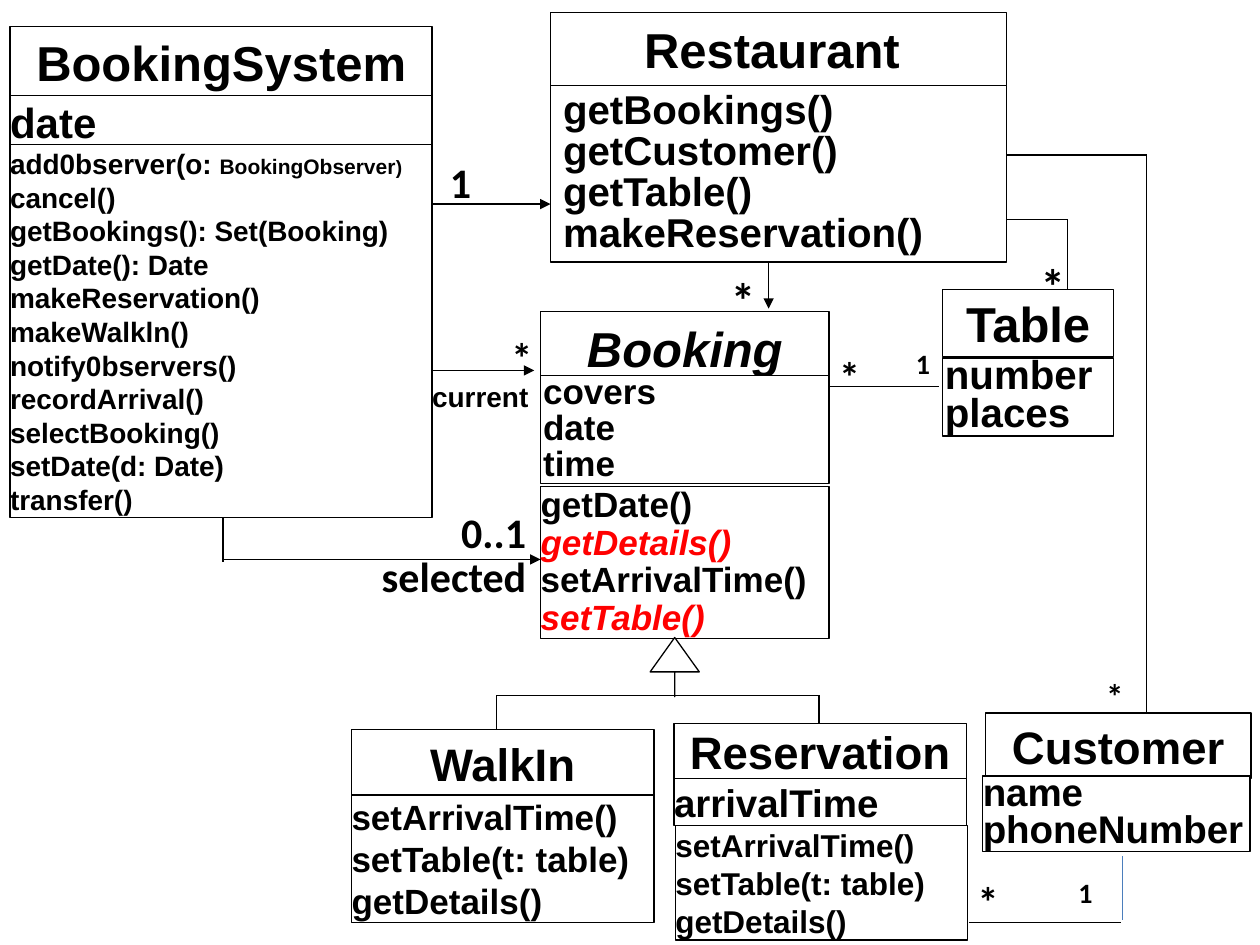
from dataclasses import dataclass

from lxml.etree import SubElement
from pptx import Presentation
from pptx.dml.color import RGBColor
from pptx.enum.shapes import MSO_CONNECTOR, MSO_SHAPE
from pptx.enum.text import MSO_ANCHOR, MSO_AUTO_SIZE, PP_ALIGN
from pptx.oxml.ns import qn
from pptx.util import Inches, Pt

BLACK, WHITE, RED, BLUE = "000000", "FFFFFF", "FF0000", "4B7EBC"
FLUSH = (0, 0, 0, 0)
INDENTED = (0.02, 0, 0, 0)
TIGHT = (0, 0.04, 0, 0.04)
ROOMY = (0.1, 0.05, 0.1, 0.05)


@dataclass(frozen=True)
class Row:
    text: str
    color: str = BLACK
    italic: bool = False
    tail: tuple = ()


@dataclass(frozen=True)
class Compartment:
    left: float
    top: float
    width: float
    height: float
    size: float
    rows: tuple
    margins: tuple = FLUSH
    spacing: float = 1.0
    centred: bool = False
    wrap: bool = True


@dataclass(frozen=True)
class Link:
    start: tuple
    end: tuple
    arrow: bool = False
    color: str = BLACK


@dataclass(frozen=True)
class Label:
    text: str
    left: float
    top: float
    width: float
    height: float
    size: float
    margins: tuple = FLUSH
    font: str = "Calibri"


def plain(*texts: str) -> tuple:
    return tuple(Row(text) for text in texts)


def abstract(text: str) -> Row:
    return Row(text, RED, True)


RESERVING = plain("setArrivalTime()", "setTable(t: table)", "getDetails()")

COMPARTMENTS = (
    Compartment(0.08, 0.21, 3.35, 0.56, 28, plain("BookingSystem"), TIGHT, centred=True),
    Compartment(0.08, 0.76, 3.35, 0.41, 24, plain("date")),
    Compartment(0.08, 1.15, 3.35, 2.96, 16, (
        Row("add0bserver(o: ", tail=(("BookingObserver", 12), (")", 11))),
        *plain("cancel()", "getBookings(): Set(Booking)", "getDate(): Date",
               "makeReservation()", "makeWalkln()", "notify0bservers()",
               "recordArrival()", "selectBooking()", "setDate(d: Date)", "transfer()"))),
    Compartment(4.37, 0.1, 3.62, 0.58, 28, plain("Restaurant "), ROOMY, centred=True),
    Compartment(4.37, 0.68, 3.62, 1.4, 23,
                plain("getBookings()", "getCustomer()", "getTable()", "makeReservation()"),
                ROOMY, 0.85, wrap=False),
    Compartment(4.29, 2.47, 2.29, 0.58, 28, (Row("Booking", italic=True),), ROOMY, centred=True),
    Compartment(4.29, 2.98, 2.29, 0.86, 20, plain("covers", "date", "time"), INDENTED, 0.85),
    Compartment(4.29, 3.86, 2.29, 1.21, 20,
                (Row("getDate()"), abstract("getDetails()"),
                 Row("setArrivalTime()"), abstract("setTable()")), spacing=0.9),
    Compartment(7.48, 2.3, 1.36, 0.53, 28, plain("Table"), ROOMY, centred=True, wrap=False),
    Compartment(7.48, 2.84, 1.36, 0.62, 23, plain("number", "places"), INDENTED, 0.8),
    Compartment(2.79, 5.79, 2.4, 0.53, 26, plain("WalkIn"), ROOMY, centred=True, wrap=False),
    Compartment(2.79, 6.31, 2.4, 1.01, 20, RESERVING),
    Compartment(5.35, 5.74, 2.32, 0.44, 26, plain("Reservation"), centred=True),
    Compartment(5.35, 6.18, 2.32, 0.37, 22, plain("arrivalTime")),
    Compartment(5.36, 6.55, 2.32, 0.91, 18, RESERVING),
    Compartment(7.82, 5.66, 2.11, 0.52, 26, plain("Customer"), TIGHT, centred=True),
    Compartment(7.8, 6.16, 2.12, 0.6, 22, plain("name", "phoneNumber"), spacing=0.8),
)

LINKS = (
    Link((3.94, 5.52), (6.5, 5.52)),
    Link((3.94, 5.52), (3.94, 5.92)),
    Link((6.5, 5.52), (6.5, 5.84)),
    Link((3.35, 1.62), (4.37, 1.62), True),
    Link((6.1, 1.7), (6.1, 2.45), True),
    Link((3.32, 2.94), (4.24, 2.94), True),
    Link((1.77, 3.28), (1.77, 4.46)),
    Link((1.77, 4.44), (4.29, 4.44), True),
    Link((6.9, 1.74), (8.47, 1.74)),
    Link((8.47, 1.74), (8.47, 2.73), True),
    Link((7.1, 1.23), (9.1, 1.23)),
    Link((9.1, 1.23), (9.1, 6.01), True),
    Link((6.59, 3.07), (7.45, 3.07)),
    Link((7.69, 7.32), (8.9, 7.32)),
    Link((8.91, 7.3), (8.91, 6.79), color=BLUE),
)

LABELS = (
    Label("1", 3.57, 1.24, 0.16, 0.4, 24),
    Label("*", 5.8, 2.14, 0.16, 0.47, 28, (0, 0, 0.02, 0)),
    Label("*", 6.66, 2.78, 0.12, 0.4, 24),
    Label("*", 4.06, 2.63, 0.16, 0.4, 24),
    Label("1", 7.17, 2.7, 0.39, 0.37, 16, ROOMY),
    Label("current", 3.43, 3.01, 1.19, 0.27, 16, font="Arial"),
    Label("0..1", 3.66, 4.02, 0.63, 0.4, 24),
    Label("selected", 3.03, 4.37, 1.26, 0.4, 24),
    Label("*", 8.16, 1.98, 0.39, 0.57, 28, ROOMY),
    Label("*", 8.78, 5.35, 0.16, 0.33, 20),
    Label("*", 7.76, 6.95, 0.16, 0.4, 24),
    Label("1", 8.46, 6.9, 0.39, 0.37, 16, ROOMY),
)


def rgb(color: str) -> RGBColor:
    return RGBColor.from_string(color)


def style_font(font, name: str, color: str = BLACK, italic: bool = False) -> None:
    font.name, font.bold, font.italic = name, True, italic
    font.color.rgb = rgb(color)


def set_margins(frame, margins: tuple) -> None:
    (frame.margin_left, frame.margin_top,
     frame.margin_right, frame.margin_bottom) = map(Inches, margins)


def add_outlined(slide, preset, left: float, top: float, width: float, height: float):
    shape = slide.shapes.add_shape(preset, *map(Inches, (left, top, width, height)))
    shape.shadow.inherit = False
    shape.fill.solid()
    shape.fill.fore_color.rgb = rgb(WHITE)
    shape.line.color.rgb = rgb(BLACK)
    shape.line.width = Pt(0.75)
    return shape


def draw_row(paragraph, row: Row, size: float) -> None:
    style_font(paragraph.font, "Arial", row.color, row.italic)
    if not row.tail:
        paragraph.font.size = Pt(size)
        paragraph.add_run().text = row.text
        return
    for text, run_size in ((row.text, size), *row.tail):
        run = paragraph.add_run()
        run.text = text
        run.font.size = Pt(run_size)


def draw_compartment(slide, part: Compartment) -> None:
    box = add_outlined(slide, MSO_SHAPE.RECTANGLE, part.left, part.top, part.width, part.height)
    frame = box.text_frame
    frame.word_wrap = part.wrap
    frame.auto_size = MSO_AUTO_SIZE.SHAPE_TO_FIT_TEXT if part.wrap else MSO_AUTO_SIZE.NONE
    frame.vertical_anchor = MSO_ANCHOR.MIDDLE
    set_margins(frame, part.margins)
    for index, row in enumerate(part.rows):
        paragraph = frame.add_paragraph() if index else frame.paragraphs[0]
        paragraph.alignment = PP_ALIGN.CENTER if part.centred else PP_ALIGN.LEFT
        paragraph.line_spacing = part.spacing
        draw_row(paragraph, row, part.size)


def draw_link(slide, link: Link) -> None:
    connector = slide.shapes.add_connector(
        MSO_CONNECTOR.STRAIGHT, *map(Inches, (*link.start, *link.end)))
    connector.line.color.rgb = rgb(link.color)
    connector.line.width = Pt(0.75)
    if link.arrow:
        SubElement(connector.line._get_or_add_ln(), qn("a:tailEnd"), type="triangle")
    SubElement(connector._element.spPr, qn("a:effectLst"))


def draw_label(slide, label: Label) -> None:
    box = slide.shapes.add_textbox(
        *map(Inches, (label.left, label.top, label.width, label.height)))
    frame = box.text_frame
    frame.word_wrap = True
    frame.auto_size = MSO_AUTO_SIZE.SHAPE_TO_FIT_TEXT
    set_margins(frame, label.margins)
    paragraph = frame.paragraphs[0]
    paragraph.add_run().text = label.text
    style_font(paragraph.font, label.font)
    paragraph.font.size = Pt(label.size)


def main() -> None:
    presentation = Presentation()
    presentation.slide_width, presentation.slide_height = Inches(10), Inches(7.5)
    slide = presentation.slides.add_slide(presentation.slide_layouts[6])
    for link in LINKS:
        draw_link(slide, link)
    for part in COMPARTMENTS:
        draw_compartment(slide, part)
    generalization = add_outlined(slide, MSO_SHAPE.UP_ARROW, 5.16, 5.06, 0.39, 0.47)
    generalization.adjustments[0] = 0
    generalization.adjustments[1] = 0.7
    for label in LABELS:
        draw_label(slide, label)
    presentation.save("out.pptx")


if __name__ == "__main__":
    main()
